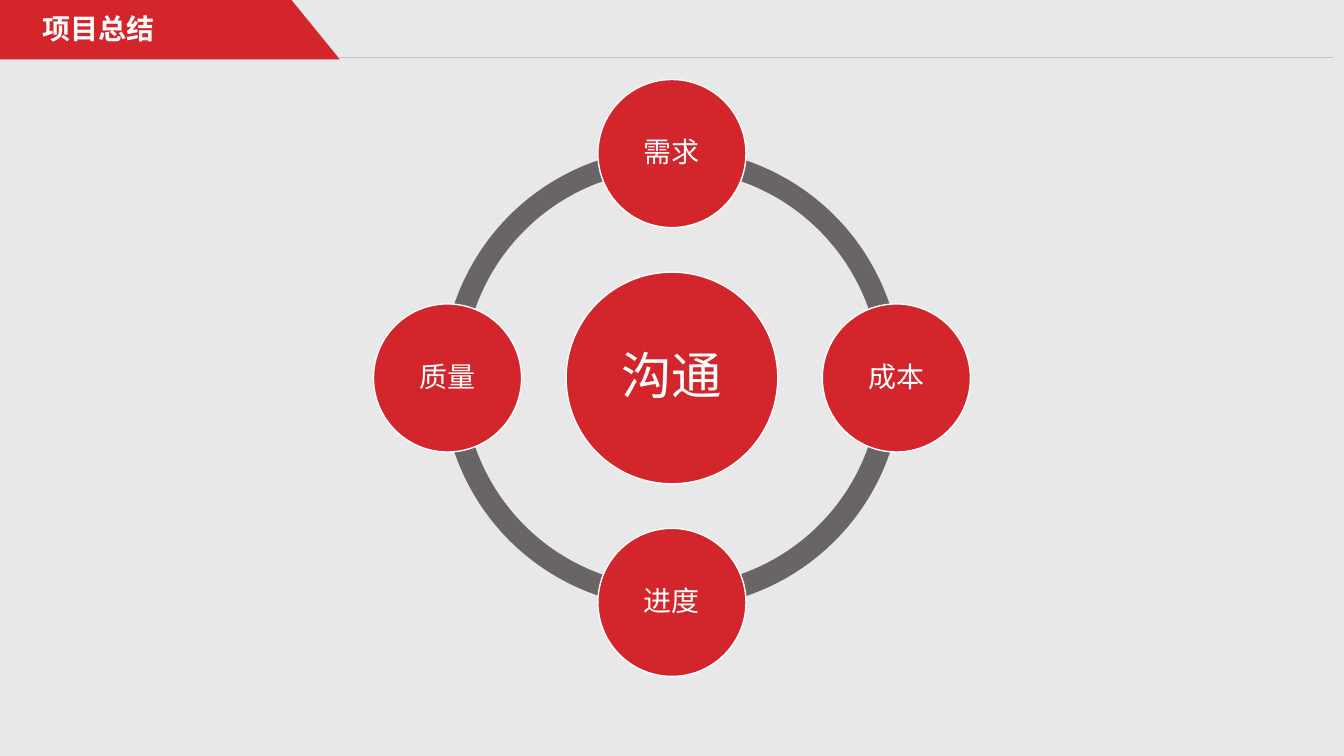
from dataclasses import dataclass

from lxml.etree import SubElement
from pptx import Presentation
from pptx.dml.color import RGBColor
from pptx.enum.shapes import MSO_CONNECTOR, MSO_SHAPE
from pptx.enum.text import MSO_ANCHOR, MSO_AUTO_SIZE, PP_ALIGN
from pptx.oxml.ns import qn
from pptx.shapes.autoshape import Shape
from pptx.slide import Slide
from pptx.util import Pt

SLIDE_W, SLIDE_H = 960, 540
CENTER_X, CENTER_Y = 480, 270
ORBIT = 160.3
RING_SIZE = 328.3
RING_THICKNESS = 0.0464
GREY_BG, GREY_RING, GREY_RULE = "E8E8E8", "696566", "BFBFBF"
RED_BANNER, RED_NODE, WHITE = "D3252A", "D3252C", "FFFFFF"


@dataclass(frozen=True)
class Node:
    text: str
    dx: float
    dy: float
    size: float = 105.8
    font_size: float = 20
    inset: float = 2


@dataclass(frozen=True)
class Arc:
    start: float
    end: float
    outlined: bool = False


NODES = [
    Node("沟通", 0, 0, 151.2, 36, 3.6),
    Node("需求", 0, -1),
    Node("成本", 1, 0),
    Node("进度", 0, 1),
    Node("质量", -1, 0),
]
ARCS = [Arc(108, 162), Arc(54, 108), Arc(0, 54, True), Arc(162, 0)]


def rgb(value: str) -> RGBColor:
    return RGBColor.from_string(value)


def apply(target: object, values: dict) -> None:
    for name, value in values.items():
        setattr(target, name, value)


def paint(sp: Shape, fill: str, line: str = "", width: float = 1) -> None:
    sp.shadow.inherit = False
    sp.fill.solid()
    sp.fill.fore_color.rgb = rgb(fill)
    if line:
        sp.line.color.rgb = rgb(line)
        sp.line.width = Pt(width)
    else:
        sp.line.fill.background()


def write(sp: Shape, text: str, frame: dict, para: dict, font: dict) -> None:
    tf = sp.text_frame
    apply(tf, frame)
    p = tf.paragraphs[0]
    apply(p, para)
    r = p.add_run()
    r.text = text
    apply(r.font, font)
    r.font.color.rgb = rgb(WHITE)


def add_centered(s: Slide, kind: MSO_SHAPE, x: float, y: float, size: float) -> Shape:
    return s.shapes.add_shape(
        kind, Pt(x - size / 2), Pt(y - size / 2), Pt(size), Pt(size)
    )


def add_header(s: Slide, title: str) -> None:
    builder = s.shapes.build_freeform(0, 0)
    corners = [(208.2, 0), (242.8, 42.5), (0, 42.5)]
    builder.add_line_segments([(Pt(x), Pt(y)) for x, y in corners])
    paint(builder.convert_to_shape(), RED_BANNER)

    rule = s.shapes.add_connector(
        MSO_CONNECTOR.STRAIGHT, Pt(242.8), Pt(41), Pt(952), Pt(41)
    )
    rule.line.color.rgb = rgb(GREY_RULE)
    rule.line.width = Pt(0.25)
    SubElement(rule._element.spPr, qn("a:effectLst"))

    sp = s.shapes.add_shape(MSO_SHAPE.RECTANGLE, Pt(23), Pt(4.3), Pt(184.3), Pt(31.5))
    paint(sp, RED_BANNER)
    write(
        sp,
        title,
        {
            "word_wrap": True,
            "auto_size": MSO_AUTO_SIZE.SHAPE_TO_FIT_TEXT,
            "vertical_anchor": MSO_ANCHOR.TOP,
        },
        {"alignment": PP_ALIGN.LEFT},
        {"name": "Noto Sans CJK SC", "size": Pt(20), "bold": True},
    )


def add_arc(s: Slide, arc: Arc) -> None:
    sp = add_centered(s, MSO_SHAPE.BLOCK_ARC, CENTER_X, CENTER_Y, RING_SIZE)
    for i, value in enumerate((arc.start, arc.end, RING_THICKNESS)):
        sp.adjustments[i] = value
    paint(sp, GREY_RING, GREY_RING if arc.outlined else "", 0.75)


def add_node(s: Slide, node: Node) -> None:
    x, y = CENTER_X + node.dx * ORBIT, CENTER_Y + node.dy * ORBIT
    sp = add_centered(s, MSO_SHAPE.OVAL, x, y, node.size)
    paint(sp, RED_NODE, WHITE)
    sides = ("left", "top", "right", "bottom")
    frame = {f"margin_{side}": Pt(node.inset) for side in sides}
    write(
        sp,
        node.text,
        frame | {"word_wrap": True, "vertical_anchor": MSO_ANCHOR.MIDDLE},
        {
            "alignment": PP_ALIGN.CENTER,
            "line_spacing": 0.9,
            "space_after": Pt(node.font_size * 0.35),
        },
        {"name": "Arial", "size": Pt(node.font_size)},
    )


def main() -> None:
    prs = Presentation()
    apply(prs, {"slide_width": Pt(SLIDE_W), "slide_height": Pt(SLIDE_H)})
    s = prs.slides.add_slide(prs.slide_layouts[6])
    s.background.fill.solid()
    s.background.fill.fore_color.rgb = rgb(GREY_BG)
    add_header(s, "项目总结")
    for arc in ARCS:
        add_arc(s, arc)
    for node in NODES:
        add_node(s, node)
    prs.save("out.pptx")


if __name__ == "__main__":
    main()
